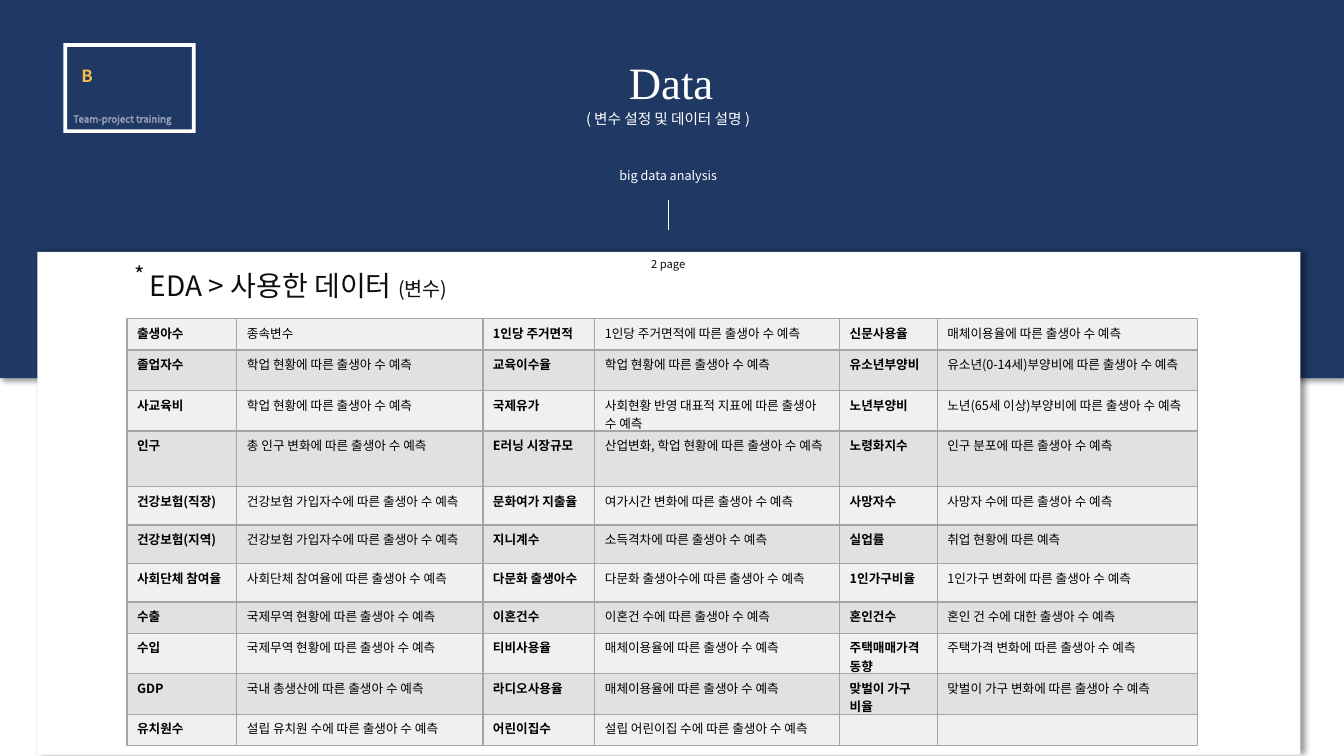
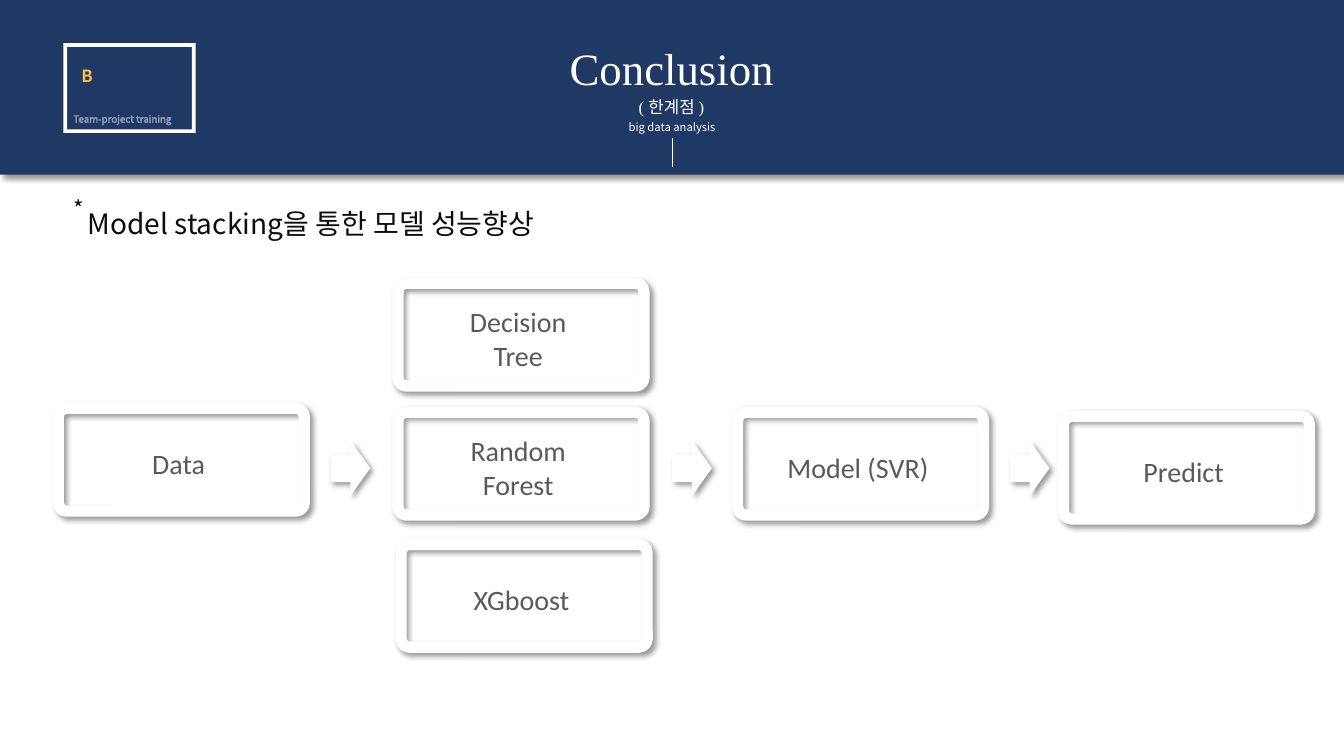
from lxml.etree import SubElement
from pptx import Presentation
from pptx.dml.color import RGBColor
from pptx.enum.shapes import MSO_CONNECTOR, MSO_SHAPE
from pptx.enum.text import MSO_ANCHOR, MSO_AUTO_SIZE, PP_ALIGN
from pptx.oxml import parse_xml
from pptx.oxml.ns import nsdecls, qn
from pptx.util import Cm, Pt

COLORS = {
    "navy": "203864", "white": "FFFFFF", "gold": "F8BE4A", "ink": "0D0D0D",
    "black": "000000", "gray": "595959", "border": "A5A5A5",
    "light row": "F0F0F0", "dark row": "E1E1E1",
}
SANS = "Noto Sans CJK KR"
SERIF = "Times New Roman"
CARD_FONT = "Calibri"
WIDTH, HEIGHT = 33.87, 19.05
CARD_WIDTH, CARD_HEIGHT = 6.2, 2.59

COLUMN_WIDTHS = [2.77, 6.2, 2.82, 6.17, 2.46, 6.55]
ROW_HEIGHTS = [0.79, 1.02, 1.02, 1.4, 0.97, 0.97, 0.97, 0.79, 1.02, 1.02, 0.79]
VARIABLES = [
    ["출생아수", "종속변수", "1인당 주거면적", "1인당 주거면적에 따른 출생아 수 예측",
     "신문사용율", "매체이용율에 따른 출생아 수 예측"],
    ["졸업자수", "학업 현황에 따른 출생아 수 예측", "교육이수율", "학업 현황에 따른 출생아 수 예측",
     "유소년부양비", "유소년(0-14세)부양비에 따른 출생아 수 예측"],
    ["사교육비", "학업 현황에 따른 출생아 수 예측", "국제유가",
     "사회현황 반영 대표적 지표에 따른 출생아 수 예측",
     "노년부양비", "노년(65세 이상)부양비에 따른 출생아 수 예측"],
    ["인구", "총 인구 변화에 따른 출생아 수 예측", "E러닝 시장규모",
     "산업변화, 학업 현황에 따른 출생아 수 예측",
     "노령화지수", "인구 분포에 따른 출생아 수 예측"],
    ["건강보험(직장)", "건강보험 가입자수에 따른 출생아 수 예측", "문화여가 지출율",
     "여가시간 변화에 따른 출생아 수 예측", "사망자수", "사망자 수에 따른 출생아 수 예측"],
    ["건강보험(지역)", "건강보험 가입자수에 따른 출생아 수 예측", "지니계수",
     "소득격차에 따른 출생아 수 예측", "실업률", "취업 현황에 따른 예측"],
    ["사회단체 참여율", "사회단체 참여율에 따른 출생아 수 예측", "다문화 출생아수",
     "다문화 출생아수에 따른 출생아 수 예측", "1인가구비율", "1인가구 변화에 따른 출생아 수 예측"],
    ["수출", "국제무역 현황에 따른 출생아 수 예측", "이혼건수", "이혼건 수에 따른 출생아 수 예측",
     "혼인건수", "혼인 건 수에 대한 출생아 수 예측"],
    ["수입", "국제무역 현황에 따른 출생아 수 예측", "티비사용율", "매체이용율에 따른 출생아 수 예측",
     "주택매매가격동향", "주택가격 변화에 따른 출생아 수 예측"],
    ["GDP", "국내 총생산에 따른 출생아 수 예측", "라디오사용율", "매체이용율에 따른 출생아 수 예측",
     "맞벌이 가구 비율", "맞벌이 가구 변화에 따른 출생아 수 예측"],
    ["유치원수", "설립 유치원 수에 따른 출생아 수 예측", "어린이집수",
     "설립 어린이집 수에 따른 출생아 수 예측", "", ""],
]
CARDS = [
    ("Data", 1.47, 10.29),
    ("Decision\nTree", 10.03, 7.14),
    ("Random\nForest", 10.03, 10.39),
    ("XGboost", 10.11, 13.72),
    ("Model (SVR)", 18.59, 10.39),
    ("Predict", 26.8, 10.49),
]
ARROW_LEFTS = [8.33, 16.94, 25.45]


def color(name):
    return RGBColor.from_string(COLORS[name])


def lengths(place):
    return [Cm(value) for value in place]


class Builder:
    def __init__(self):
        self.deck = Presentation()
        self.deck.slide_width, self.deck.slide_height = Cm(WIDTH), Cm(HEIGHT)
        self.page = None

    def add_page(self):
        self.page = self.deck.slides.add_slide(self.deck.slide_layouts[5])

    def style_span(self, span, size, tint, font=SANS, bold=False):
        span.font.size = Pt(size)
        span.font.bold = bold
        span.font.color.rgb = color(tint)
        span.font.name = font
        SubElement(span.font._element, qn("a:ea"), typeface=SANS)

    def fill_text(self, frame, text, size, tint, font=SANS, align=PP_ALIGN.LEFT, bold=False):
        frame.text = text
        for para in frame.paragraphs:
            para.alignment = align
            for span in para.runs:
                self.style_span(span, size, tint, font, bold)

    def text(self, text, place, size, tint, font=SANS, align=PP_ALIGN.LEFT, bold=False, wrap=True):
        box = self.page.shapes.add_textbox(*lengths(place))
        box.text_frame.word_wrap = wrap
        box.text_frame.auto_size = MSO_AUTO_SIZE.SHAPE_TO_FIT_TEXT
        self.fill_text(box.text_frame, text, size, tint, font, align, bold)
        return box.text_frame.paragraphs[0]

    def shape(self, kind, place, fill=None, shadow_angle=None):
        shape = self.page.shapes.add_shape(kind, *lengths(place))
        shape.line.fill.background()
        if fill:
            shape.fill.solid()
            shape.fill.fore_color.rgb = color(fill)
        else:
            shape.fill.background()
        shape.shadow.inherit = False
        if shadow_angle is not None:
            effects = shape.element.spPr.find(qn("a:effectLst"))
            effects.append(parse_xml(
                f'<a:outerShdw {nsdecls("a")} blurRad="{Pt(4)}" dist="{Pt(3)}" '
                f'dir="{shadow_angle * 60000}" algn="tl" rotWithShape="0">'
                f'<a:srgbClr val="{COLORS["black"]}"><a:alpha val="40000"/></a:srgbClr>'
                '</a:outerShdw>'))
        return shape

    def band(self, height):
        self.shape(MSO_SHAPE.RECTANGLE, (0, 0, WIDTH, height), "navy", 45)

    def title(self, text, place):
        title = self.page.shapes.title
        title.left, title.top, title.width, title.height = lengths(place)
        title.text_frame.vertical_anchor = MSO_ANCHOR.TOP
        self.fill_text(title.text_frame, text, 32, "white", SERIF, PP_ALIGN.CENTER)
        self.page.shapes.element.append(title.element)

    def caption(self, text, place, size, tint="white", font=SANS):
        self.text(text, place, size, tint, font, PP_ALIGN.CENTER)

    def divider(self, left, top, weight):
        line = self.page.shapes.add_connector(
            MSO_CONNECTOR.STRAIGHT, *lengths((left, top, left, top + 0.74)))
        line.line.color.rgb = color("white")
        line.line.width = Pt(weight)
        SubElement(line.element.spPr, qn("a:effectLst"))

    def badge(self):
        frame = self.shape(MSO_SHAPE.FRAME, (1.6, 1.09, 3.33, 2.26), "white")
        frame.adjustments[0] = 0.04
        para = self.text("Team-project training", (1.6, 2.72, 3.89, 0.56), 7, "white")
        para.runs[0].font._element.insert(0, parse_xml(
            f'<a:ln {nsdecls("a")} w="{Pt(0.75)}"><a:solidFill><a:srgbClr val="{COLORS["white"]}">'
            '<a:alpha val="50000"/></a:srgbClr></a:solidFill></a:ln>'))
        self.text("B", (1.8, 1.52, 3.66, 1.27), 12, "gold", bold=True)

    def heading(self, text, place, star_left, star_top):
        self.text("*", (star_left, star_top, 0.86, 0.94), 16, "ink", wrap=False)
        return self.text(text, place, 20, "ink", wrap=False)

    def table(self, rows, left, top):
        place = (left, top, sum(COLUMN_WIDTHS), sum(ROW_HEIGHTS))
        table = self.page.shapes.add_table(len(rows), len(COLUMN_WIDTHS), *lengths(place)).table
        table.first_row = table.horz_banding = False
        for column, width in zip(table.columns, COLUMN_WIDTHS):
            column.width = Cm(width)
        for row, height in zip(table.rows, ROW_HEIGHTS):
            row.height = Cm(height)
        for row_index, texts in enumerate(rows):
            fill = "dark row" if row_index % 2 else "light row"
            for column_index, text in enumerate(texts):
                self.cell(table.cell(row_index, column_index), text, fill, column_index % 2 == 0)

    def cell(self, cell, text, fill, bold):
        self.fill_text(cell.text_frame, text, 9, "black", bold=bold)
        if not text:
            cell.text_frame.paragraphs[0].font.size = Pt(9)
        properties = cell._tc.get_or_add_tcPr()
        for side in ("lnL", "lnR", "lnT", "lnB"):
            properties.append(parse_xml(
                f'<a:{side} {nsdecls("a")} w="{Pt(1)}"><a:solidFill>'
                f'<a:srgbClr val="{COLORS["border"]}"/></a:solidFill></a:{side}>'))
        cell.fill.solid()
        cell.fill.fore_color.rgb = color(fill)

    def card(self, text, left, top):
        card = self.shape(MSO_SHAPE.ROUNDED_RECTANGLE, (left, top, CARD_WIDTH, CARD_HEIGHT),
                          shadow_angle=45)
        card.adjustments[0] = 0.08
        card.line.color.rgb = color("white")
        card.line.width = Pt(8)
        height = 1.96 if "\n" in text else 1.12
        label_top = top + (CARD_HEIGHT - height) / 2 + 0.1
        self.caption(text, (left + 0.39, label_top, 5.28, height), 20, "gray", CARD_FONT)

    def arrow(self, left, top):
        self.shape(MSO_SHAPE.RIGHT_ARROW, (left, top, 1, 1.4), "white", 45)


def data_page(builder):
    builder.add_page()
    builder.band(9.53)
    builder.shape(MSO_SHAPE.RECTANGLE, (0.94, 6.35, 31.83, 12.67), "white", 0)
    builder.divider(16.84, 5.05, 1)
    builder.caption("big data analysis", (14.4, 4.11, 4.88, 0.64), 9)
    builder.title("Data", (12.85, 1.24, 8.13, 1.63))
    builder.caption("( 변수 설정 및 데이터 설명 )", (13.28, 2.64, 7.11, 0.74), 10.5)
    builder.badge()
    builder.caption("2 page", (14.4, 6.35, 4.88, 0.61), 8, "ink")
    para = builder.heading("EDA > 사용한 데이터 ", (3.53, 6.63, 8.76, 1.12), 3.15, 6.45)
    span = para.add_run()
    span.text = "(변수)"
    builder.style_span(span, 14, "ink")
    builder.table(VARIABLES, 3.2, 8.03)


def conclusion_page(builder):
    builder.add_page()
    builder.band(4.4)
    builder.divider(16.94, 3.48, 0.25)
    builder.caption("big data analysis", (14.5, 2.92, 4.88, 0.61), 8)
    builder.title("Conclusion", (13.82, 0.89, 6.22, 1.63))
    builder.caption("( 한계점 )", (12.88, 2.31, 8.08, 0.76), 12, font=SERIF)
    builder.badge()
    builder.heading("Model stacking을 통한 모델 성능향상", (1.96, 5.08, 13.28, 1.12), 1.6, 4.8)
    for text, left, top in CARDS:
        builder.card(text, left, top)
    for left in ARROW_LEFTS:
        builder.arrow(left, 11.1)


def main():
    builder = Builder()
    data_page(builder)
    conclusion_page(builder)
    builder.deck.save("out.pptx")


if __name__ == "__main__":
    main()
